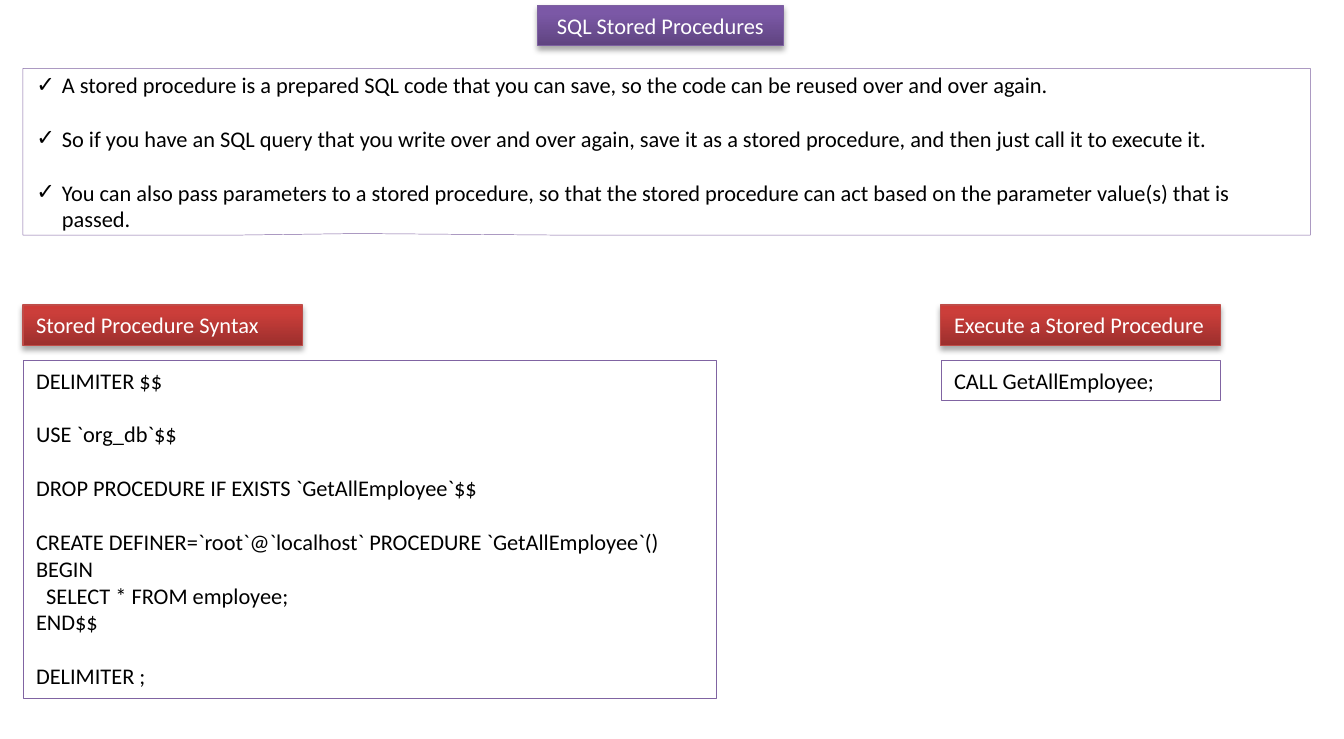
from dataclasses import dataclass

from pptx import Presentation
from pptx.dml.color import RGBColor
from pptx.enum.shapes import MSO_SHAPE
from pptx.enum.text import MSO_ANCHOR, MSO_AUTO_SIZE, PP_ALIGN
from pptx.oxml import parse_xml
from pptx.oxml.ns import nsdecls, qn
from pptx.shapes.autoshape import Shape
from pptx.slide import Slide
from pptx.util import Inches, Pt

RECTANGLE = MSO_SHAPE.RECTANGLE
TOP, MIDDLE = MSO_ANCHOR.TOP, MSO_ANCHOR.MIDDLE
LEFT, CENTER = PP_ALIGN.LEFT, PP_ALIGN.CENTER
NO_AUTOFIT = MSO_AUTO_SIZE.NONE

WHITE = RGBColor(0xFF, 0xFF, 0xFF)
BLACK = RGBColor(0x00, 0x00, 0x00)
PURPLE = RGBColor(0x80, 0x64, 0xA2)
PURPLE_EDGE = RGBColor(0x7D, 0x60, 0xA0)
PURPLE_STOPS = (
    (0, RGBColor(0x5F, 0x44, 0x80)),
    (80, RGBColor(0x7B, 0x58, 0xA6)),
    (100, RGBColor(0x7C, 0x57, 0xA8)),
)
RED_EDGE = RGBColor(0xBF, 0x4C, 0x48)
RED_STOPS = (
    (0, RGBColor(0x9C, 0x2F, 0x2D)),
    (80, RGBColor(0xCB, 0x3E, 0x3A)),
    (100, RGBColor(0xCE, 0x3B, 0x37)),
)

SLIDE_WIDTH, SLIDE_HEIGHT = Inches(10), Inches(5.5)
COLUMN, ROW = SLIDE_WIDTH // 1000, SLIDE_HEIGHT // 550
FONT_NAME, FONT_SIZE = "Calibri", Pt(12)
LINE_GAP = Pt(14.4)
BULLET_INDENT = Inches(0.19)

LEFT_COLUMN, RIGHT_COLUMN = 17, 700
LABEL_ROW, CODE_ROW = 227, 268
LABEL_WIDTH, LABEL_HEIGHT = 208, 30

POINTS = (
    ("A stored procedure is a prepared SQL code that you can save, so the code can be reused over and over again.",),
    ("So if you have an SQL query that you write over and over again, save it as a stored procedure, and then just call it to execute it.",),
    ("You can also pass parameters to a stored procedure, so that the stored procedure can act based on the parameter value(s) that is passed.",),
)
SYNTAX = (
    ("DELIMITER $$",),
    ("USE `org_db`$$",),
    ("DROP PROCEDURE IF EXISTS `GetAllEmployee`$$",),
    (
        "CREATE DEFINER=`root`@`localhost` PROCEDURE `GetAllEmployee`()",
        "BEGIN",
        "  SELECT * FROM employee;",
        "END$$",
    ),
    ("DELIMITER ;",),
)
CALL = (("CALL GetAllEmployee;",),)


@dataclass(frozen=True)
class Area:
    column: int
    row: int
    columns: int
    rows: int


@dataclass(frozen=True)
class Section:
    label: str
    code: tuple[tuple[str, ...], ...]
    column: int
    code_columns: int
    code_rows: int


SECTIONS = (
    Section("Stored Procedure Syntax", SYNTAX, LEFT_COLUMN, 516, 252),
    Section("Execute a Stored Procedure", CALL, RIGHT_COLUMN, LABEL_WIDTH, LABEL_HEIGHT),
)


def place(shape: Shape, area: Area) -> None:
    shape.left, shape.top = area.column * COLUMN, area.row * ROW
    shape.width, shape.height = area.columns * COLUMN, area.rows * ROW


def add_rectangle(slide: Slide, area: Area) -> Shape:
    shape = slide.shapes.add_shape(RECTANGLE, 0, 0, COLUMN, ROW)
    place(shape, area)
    return shape


def style_plain(shape: Shape) -> None:
    shape.fill.solid()
    shape.fill.fore_color.rgb = WHITE
    shape.line.color.rgb = PURPLE
    shape.line.width = Pt(0.25)
    shape.shadow.inherit = False


def style_raised(
    shape: Shape, stops: tuple[tuple[int, RGBColor], ...], edge: RGBColor
) -> None:
    shape.fill.gradient()
    shape.fill.gradient_angle = 90
    stop_list = shape.element.spPr.find(qn("a:gradFill")).find(qn("a:gsLst"))
    for stop in list(stop_list):
        stop_list.remove(stop)
    for percent, color in stops:
        stop_list.append(parse_xml(
            f'<a:gs {nsdecls("a")} pos="{percent * 1000}"><a:srgbClr val="{color}"/></a:gs>'
        ))
    shape.line.color.rgb = edge
    shape.line.width = Pt(0.75)
    shape.shadow.inherit = False
    shape.element.spPr.find(qn("a:effectLst")).append(parse_xml(
        f'<a:outerShdw {nsdecls("a")} blurRad="{Pt(3.1)}" dist="{Pt(1.8)}" dir="5400000" rotWithShape="0">'
        '<a:srgbClr val="000000"><a:alpha val="35000"/></a:srgbClr></a:outerShdw>'
    ))


def write(
    shape: Shape,
    groups: tuple[tuple[str, ...], ...],
    color: RGBColor,
    alignment: PP_ALIGN = LEFT,
    anchor: MSO_ANCHOR = TOP,
    bullet: str = "",
) -> None:
    frame = shape.text_frame
    frame.word_wrap = True
    frame.auto_size = NO_AUTOFIT
    frame.vertical_anchor = anchor
    paragraph = None
    for group_index, group in enumerate(groups):
        for line_index, line in enumerate(group):
            paragraph = frame.add_paragraph() if paragraph else frame.paragraphs[0]
            paragraph.alignment = alignment
            paragraph.space_before = LINE_GAP if group_index and not line_index else Pt(0)
            if bullet:
                properties = paragraph._p.get_or_add_pPr()
                properties.set("marL", str(BULLET_INDENT))
                properties.set("indent", str(-BULLET_INDENT))
                properties.append(parse_xml(f'<a:buFont {nsdecls("a")} typeface="{FONT_NAME}"/>'))
                properties.append(parse_xml(f'<a:buChar {nsdecls("a")} char="{bullet}"/>'))
            run = paragraph.add_run()
            run.text = line
            run.font.name = FONT_NAME
            run.font.size = FONT_SIZE
            run.font.color.rgb = color


def draw_title(slide: Slide) -> None:
    title = slide.shapes.title
    place(title, Area(400, 4, 183, LABEL_HEIGHT))
    style_raised(title, PURPLE_STOPS, PURPLE_EDGE)
    write(title, (("SQL Stored Procedures",),), WHITE, CENTER)


def draw_points(slide: Slide) -> None:
    body = slide.placeholders[1]
    place(body, Area(LEFT_COLUMN, 51, 958, 124))
    body.element.spPr.insert(1, parse_xml(
        f'<a:prstGeom {nsdecls("a")} prst="wedgeRectCallout"><a:avLst>'
        '<a:gd name="adj1" fmla="val -24000"/><a:gd name="adj2" fmla="val 49100"/>'
        '</a:avLst></a:prstGeom>'
    ))
    style_plain(body)
    write(body, POINTS, BLACK, anchor=MIDDLE, bullet="✓")


def draw_section(slide: Slide, section: Section) -> None:
    code = add_rectangle(
        slide, Area(section.column, CODE_ROW, section.code_columns, section.code_rows)
    )
    style_plain(code)
    write(code, section.code, BLACK)
    label = add_rectangle(slide, Area(section.column, LABEL_ROW, LABEL_WIDTH, LABEL_HEIGHT))
    style_raised(label, RED_STOPS, RED_EDGE)
    write(label, ((section.label,),), WHITE)


def main() -> None:
    presentation = Presentation()
    presentation.slide_width, presentation.slide_height = SLIDE_WIDTH, SLIDE_HEIGHT
    slide = presentation.slides.add_slide(presentation.slide_layouts[1])
    draw_title(slide)
    draw_points(slide)
    for section in SECTIONS:
        draw_section(slide, section)
    presentation.save("out.pptx")


if __name__ == "__main__":
    main()
